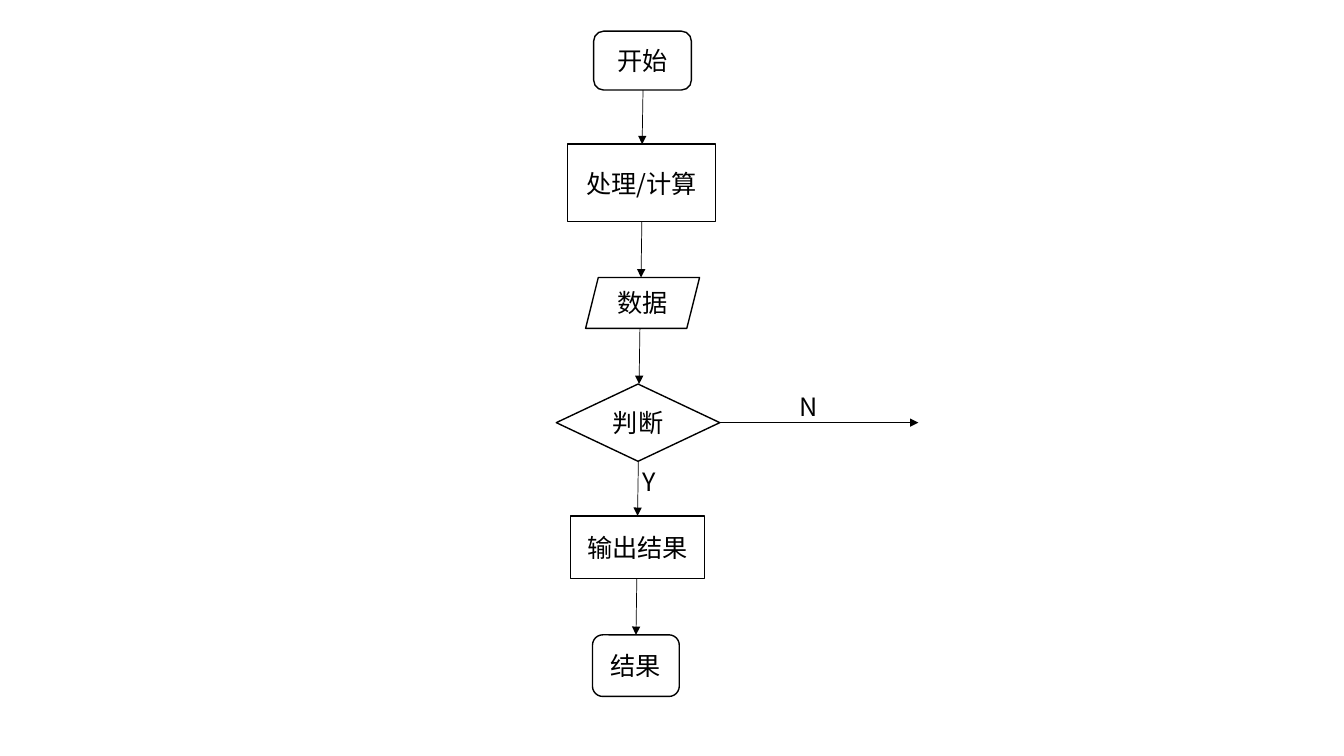
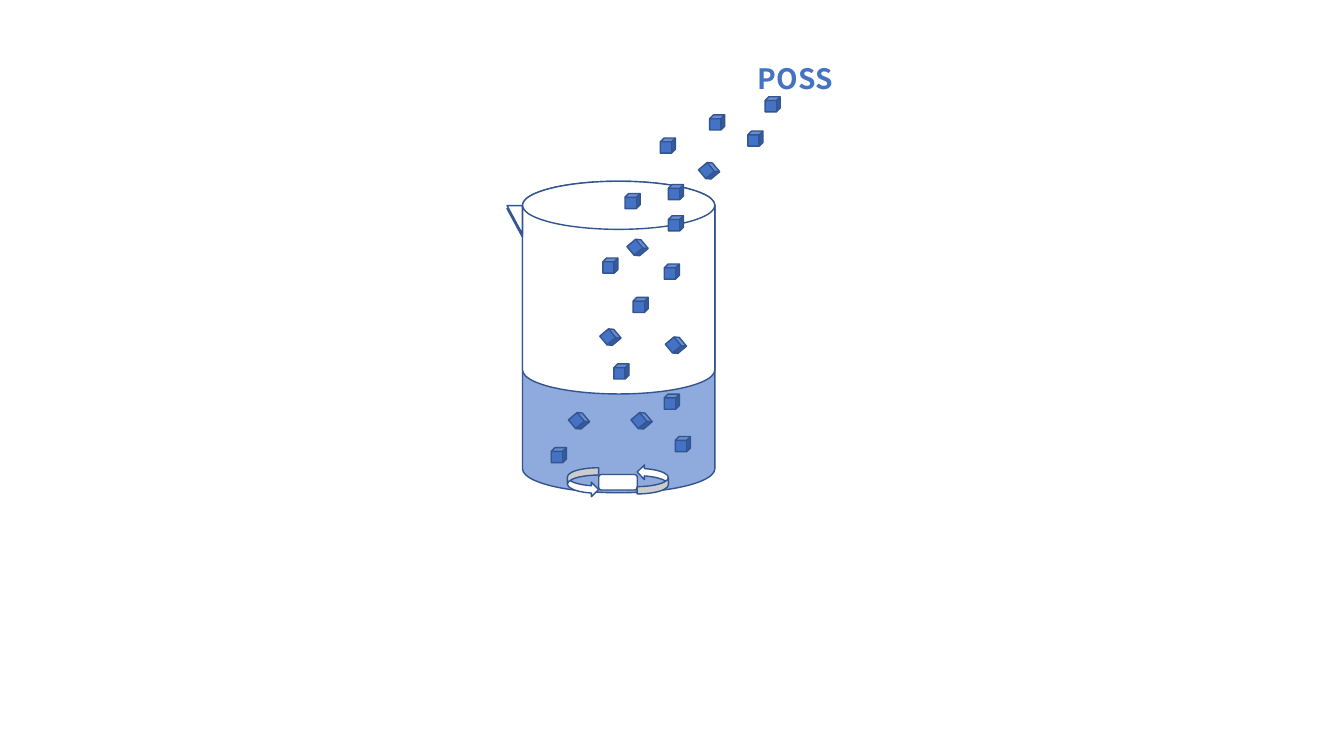
from itertools import pairwise

from lxml.etree import SubElement
from pptx import Presentation
from pptx.dml.color import RGBColor
from pptx.enum.shapes import MSO_CONNECTOR, MSO_SHAPE
from pptx.enum.text import MSO_ANCHOR, PP_ALIGN
from pptx.oxml.ns import qn
from pptx.util import Pt

COLORS = {
    "black": "000000",
    "white": "FFFFFF",
    "blue": "4472C4",
    "outline": "325491",
    "liquid": "8FAADC",
}
FONT = "Noto Sans CJK SC"


class Sketch:
    """Holds the shared style and the slide being drawn."""

    def __init__(self):
        self.presentation = Presentation()
        self.presentation.slide_width = Pt(960)
        self.presentation.slide_height = Pt(540)
        self.slide = None

    def new_slide(self):
        self.slide = self.presentation.slides.add_slide(self.presentation.slide_layouts[6])

    def color(self, name):
        return RGBColor.from_string(COLORS[name])

    def set_text(self, shape, text, align, **changes):
        shape.text_frame.word_wrap = True
        paragraph = shape.text_frame.paragraphs[0]
        paragraph.alignment = align
        run = paragraph.add_run()
        run.text = text
        font_format = {"name": FONT, "size": Pt(18), "bold": False, "color": "black"} | changes
        run.font.color.rgb = self.color(font_format.pop("color"))
        for attribute, value in font_format.items():
            setattr(run.font, attribute, value)
        # East Asian characters need their own typeface entry
        SubElement(run._r.get_or_add_rPr(), qn("a:ea"), typeface=FONT)

    def shape(self, kind, box, fill="white", line="outline", rotation=0):
        shape = self.slide.shapes.add_shape(kind, *map(Pt, box))
        shape.shadow.inherit = False
        shape.fill.solid()
        shape.fill.fore_color.rgb = self.color(fill)
        shape.line.color.rgb = self.color(line)
        shape.line.width = Pt(1)
        shape.rotation = rotation
        return shape

    def node(self, kind, text, box):
        shape = self.shape(kind, box, line="black")
        shape.text_frame.vertical_anchor = MSO_ANCHOR.MIDDLE
        self.set_text(shape, text, PP_ALIGN.CENTER)

    def label(self, text, box, **changes):
        shape = self.slide.shapes.add_textbox(*map(Pt, box))
        self.set_text(shape, text, PP_ALIGN.LEFT, **changes)

    def arrow(self, start, end):
        connector = self.slide.shapes.add_connector(
            MSO_CONNECTOR.STRAIGHT, *map(Pt, (*start, *end)))
        connector.line.color.rgb = self.color("black")
        connector.line.width = Pt(0.5)
        properties = connector._element.spPr
        SubElement(properties.find(qn("a:ln")), qn("a:tailEnd"), type="triangle")
        SubElement(properties, qn("a:effectLst"))

    def cube(self, left, top, rotation=0):
        self.shape(MSO_SHAPE.CUBE, (left, top, 10.8, 10.8), "blue", rotation=rotation)


def draw_flowchart(sketch):
    sketch.new_slide()
    # Steps: shape, text, box, x where the arrow leaves
    steps = [
        (MSO_SHAPE.ROUNDED_RECTANGLE, "开始", (424.1, 22.3, 69.8, 42), 459.3),
        (MSO_SHAPE.RECTANGLE, "处理/计算", (405.4, 103, 105.8, 55.4), 458.5),
        (MSO_SHAPE.PARALLELOGRAM, "数据", (418.3, 198.2, 81.4, 36.3), 457.1),
        (MSO_SHAPE.DIAMOND, "判断", (397.4, 274.3, 116.8, 55.2), 456),
        (MSO_SHAPE.RECTANGLE, "输出结果", (407.5, 368.5, 95.8, 44.8), 454.9),
        (MSO_SHAPE.ROUNDED_RECTANGLE, "结果", (423.2, 453.5, 62, 44), None),
    ]
    for kind, text, box, _ in steps:
        sketch.node(kind, text, box)

    # Arrows down the flow, each leaning slightly left
    for (_, _, box, exit_x), (_, _, next_box, _) in pairwise(steps):
        sketch.arrow((exit_x, box[1] + box[3]), (exit_x - 0.6, next_box[1]))

    # Branches of the decision
    sketch.arrow((514.2, 301.9), (656, 301.9))
    sketch.label("N", (563.8, 275.8, 21.6, 28.8))
    sketch.label("Y", (452.2, 329.3, 28.8, 28.8))


def draw_beaker(sketch):
    sketch.new_slide()
    # Liquid, then the empty part of the glass above it
    for height, fill in ((222.5, "liquid"), (151.9, "white")):
        sketch.shape(MSO_SHAPE.CAN, (373.2, 129.5, 137.4, height), fill)

    # Stirring bar and its rotation arrows
    sketch.shape(MSO_SHAPE.ROUNDED_RECTANGLE, (427.7, 339, 27.5, 11))
    for left, top, rotation in ((455.8, 331.2, 270), (406, 333.4, 90)):
        sketch.shape(MSO_SHAPE.CURVED_UP_ARROW, (left, top, 20.9, 22.3), rotation=rotation)

    # Spout
    for top, fill in ((149, "blue"), (146.9, "white")):
        sketch.shape(MSO_SHAPE.RIGHT_TRIANGLE, (362.2, top, 10.9, 20.2), fill, rotation=180)

    # Falling cubes, upright and tilted
    upright = [
        (430.6, 184.3), (474.5, 188.6), (452.2, 212.4), (446.4, 138.2), (477.4, 131.8),
        (471.6, 98.6), (482.4, 311.8), (474.5, 281.5), (438.5, 259.9), (534.2, 93.6),
        (393.8, 319.7), (506.9, 82.1), (546.5, 69.1), (477.4, 154.1),
    ]
    tilted = [
        (450, 171.4), (430.6, 235.4), (477.4, 241.2),
        (408.2, 295.2), (452.9, 295.2), (501.1, 116.6),
    ]
    for positions, rotation in ((upright, 0), (tilted, 50)):
        for left, top in positions:
            sketch.cube(left, top, rotation)

    sketch.label("POSS", (534.2, 40.3, 182.9, 31.7), size=Pt(20), bold=True, color="blue")


def main():
    sketch = Sketch()
    draw_flowchart(sketch)
    draw_beaker(sketch)
    sketch.presentation.save("out.pptx")


if __name__ == "__main__":
    main()
